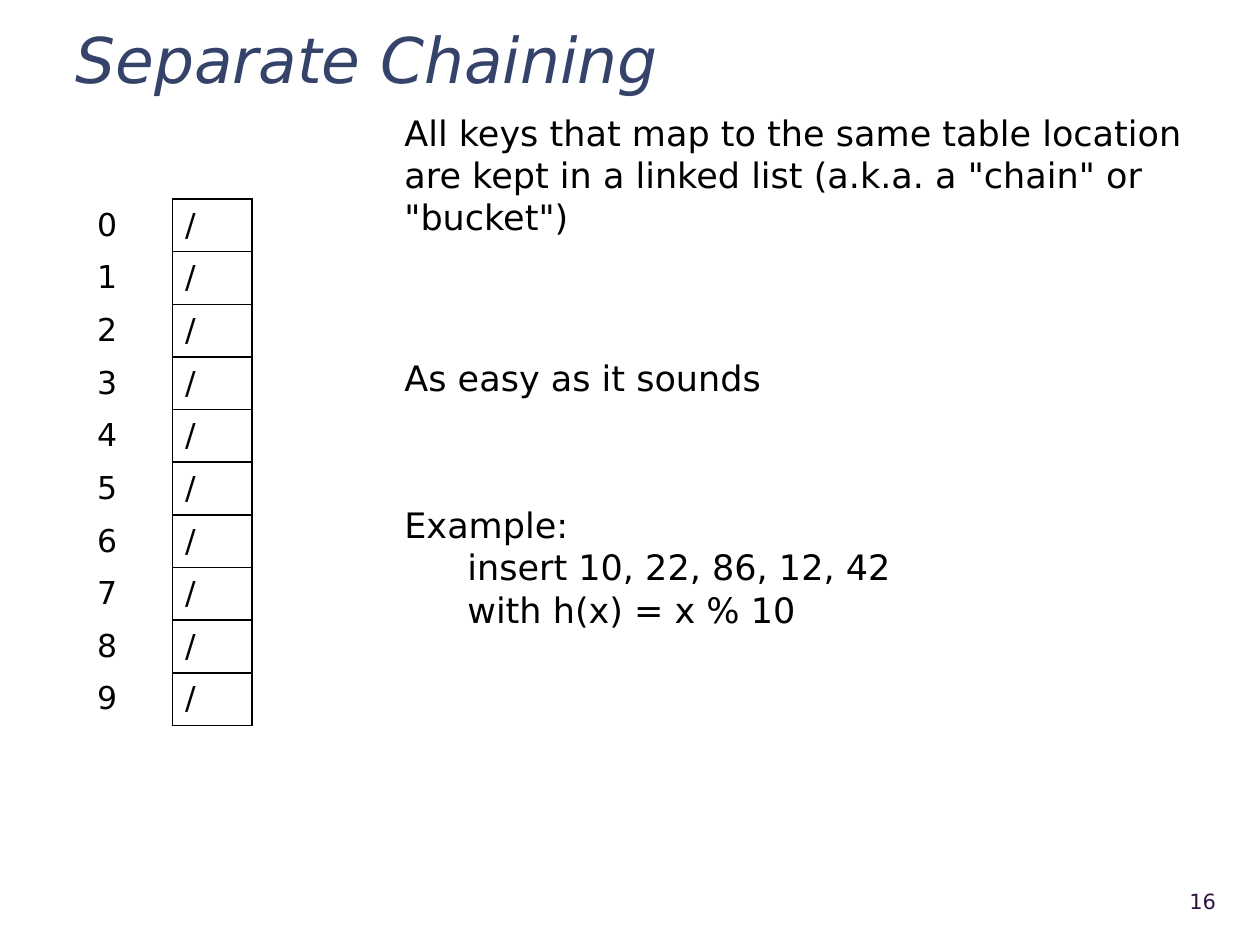
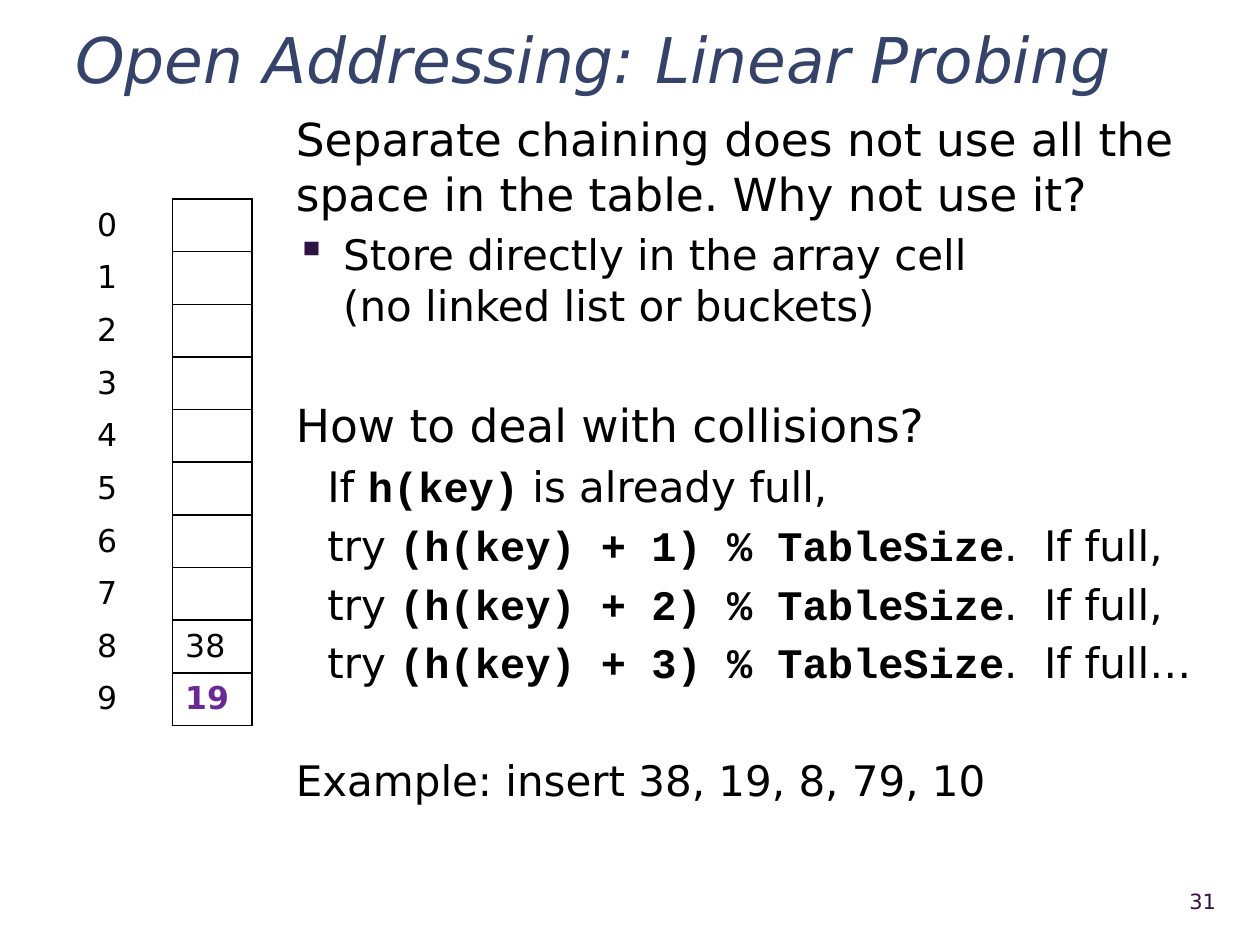
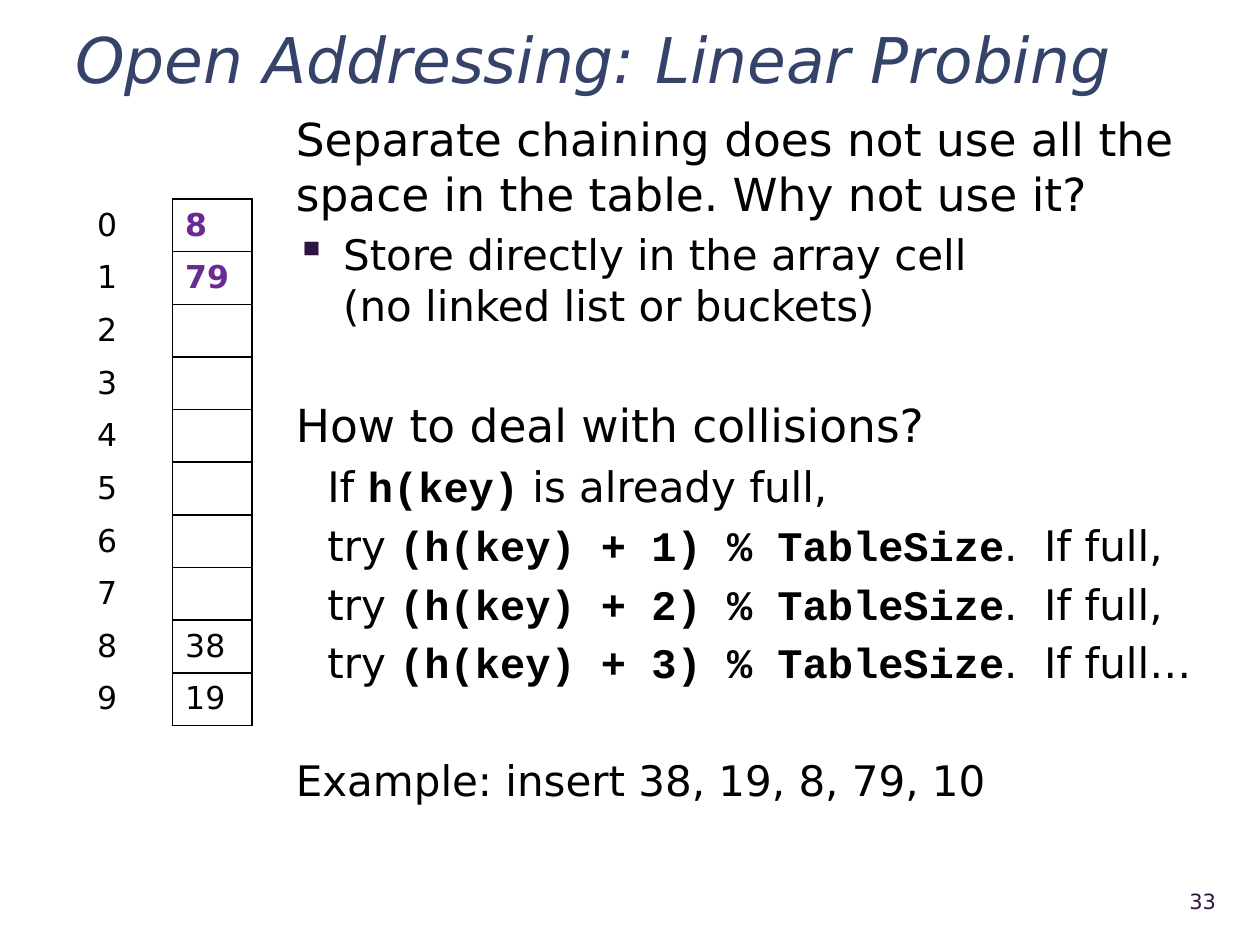
import pptx
import pptx.dml.color
import pptx.enum.text
import pptx.oxml
import pptx.oxml.ns
import pptx.util
from lxml import etree

Pt = pptx.util.Pt
ALIGN = pptx.enum.text.PP_ALIGN
ANCHOR = pptx.enum.text.MSO_ANCHOR

# Shared look
COLOURS = {"title": "35436A", "text": "000000", "number": "2F1343", "new": "692A96"}
SANS, CODE = "DejaVu Sans", "Courier New"
TITLE_AREA = (36, 12.24, 666, 38.16)
NUMBER_AREA = (640, 500.4, 62, 28.8)
TABLE_LEFT, TABLE_TOP = 48.24, 113.76
COLUMN_WIDTHS = (50.4, 45.36)
ROW_HEIGHT, ROW_COUNT = 30.1, 10
LINE_FACTOR = 1.2

# Content: paragraphs are dicts; text between backquotes is code
CHAINING_BODY = [
    {"text": 'All keys that map to the same table location are kept in a linked list '
             '(a.k.a. a "chain" or "bucket")', "size": 20},
    {"text": "As easy as it sounds", "size": 20, "before": 68.4},
    {"text": "Example:\n\tinsert 10, 22, 86, 12, 42\n\twith h(x) = x % 10",
     "size": 20, "before": 60, "tab": 72},
]
PROBES = [f"try `(h(key) + {step}) % TableSize`.  If full{end}"
          for step, end in ((1, ","), (2, ","), (3, "…"))]
PROBING_BODY = [
    {"text": "Separate chaining does not use all the space in the table. Why not use it?",
     "size": 26},
    {"text": "Store directly in the array cell\n(no linked list or buckets)",
     "size": 24, "before": 4.8, "bullet": "▪", "margin": 27},
    {"text": "How to deal with collisions?", "size": 26, "before": 38.8},
    *({"text": line, "size": 24, "before": 4.8, "margin": 18}
      for line in ["If `h(key)` is already full,"] + PROBES),
    {"text": "Example: insert 38, 19, 8, 79, 10", "size": 24, "before": 38.4},
]
CHAINING_AREA = (224, 60, 478, 432)
PROBING_AREA = (162, 60, 540, 432)
PROBING_TITLE = "Open Addressing: Linear Probing"

SLIDES = [
    {"title": "Separate Chaining", "number": 16, "area": CHAINING_AREA, "body": CHAINING_BODY,
     "cells": {row: "/" for row in range(ROW_COUNT)}, "new": ()},
    {"title": PROBING_TITLE, "number": 31, "area": PROBING_AREA, "body": PROBING_BODY,
     "cells": {8: "38", 9: "19"}, "new": (9,)},
    {"title": PROBING_TITLE, "number": 33, "area": PROBING_AREA, "body": PROBING_BODY,
     "cells": {0: "8", 1: "79", 8: "38", 9: "19"}, "new": (0, 1)},
]


def set_font(font, size, colour="text", bold=False, italic=False):
    font.name, font.size, font.bold, font.italic = SANS, Pt(size), bold, italic
    font.color.rgb = pptx.dml.color.RGBColor.from_string(COLOURS[colour])


def add_box(page, area, anchor):
    frame = page.shapes.add_textbox(*map(Pt, area)).text_frame
    frame.word_wrap = True
    frame.vertical_anchor = anchor
    return frame


def add_element(parent, tag, **attributes):
    return etree.SubElement(parent, pptx.oxml.ns.qn(tag), attributes)


def add_title(page, text):
    para = add_box(page, TITLE_AREA, ANCHOR.MIDDLE).paragraphs[0]
    para.text = text
    para.line_spacing = 1.1
    set_font(para.font, 36, "title", italic=True)


def add_number(page, number):
    para = add_box(page, NUMBER_AREA, ANCHOR.MIDDLE).paragraphs[0]
    para.text = str(number)
    para.alignment = ALIGN.RIGHT
    set_font(para.font, 12, "number")


def add_spans(para, text):
    for index, part in enumerate(text.split("`")):
        for line_index, line in enumerate(part.split("\n")):
            if line_index:
                para.add_line_break()
            span = para.add_run()
            span.text = line
            if index % 2:
                span.font.name, span.font.bold = CODE, True


def add_body(page, area, items):
    frame = add_box(page, area, ANCHOR.TOP)
    for index, item in enumerate(items):
        para = frame.add_paragraph() if index else frame.paragraphs[0]
        add_spans(para, item["text"])
        para.line_spacing = Pt(item["size"] * LINE_FACTOR)
        if "before" in item:
            para.space_before = Pt(item["before"])
        # Indents, bullets and tabs
        properties = para._p.get_or_add_pPr()
        margin = item.get("margin", 0)
        properties.set("marL", str(Pt(margin)))
        properties.set("indent", str(Pt(-margin if "bullet" in item else 0)))
        if "bullet" in item:
            colour = add_element(properties, "a:buClr")
            add_element(colour, "a:srgbClr", val=COLOURS["number"])
            add_element(properties, "a:buChar", char=item["bullet"])
        if "tab" in item:
            tabs = add_element(properties, "a:tabLst")
            add_element(tabs, "a:tab", pos=str(Pt(item["tab"])), algn="l")
        set_font(para.font, item["size"])


def add_borders(cell, sides):
    properties = cell._tc.get_or_add_tcPr()
    for side in sides:
        line = add_element(properties, f"a:ln{side}", w=str(Pt(1)))
        fill = add_element(line, "a:solidFill")
        add_element(fill, "a:srgbClr", val=COLOURS["text"])


def add_hash_table(page, values, new_rows):
    table = page.shapes.add_table(
        ROW_COUNT, 2, Pt(TABLE_LEFT), Pt(TABLE_TOP),
        Pt(sum(COLUMN_WIDTHS)), Pt(ROW_HEIGHT * ROW_COUNT)).table
    table.first_row = table.horz_banding = False
    for column, width in zip(table.columns, COLUMN_WIDTHS):
        column.width = Pt(width)
    for index, row in enumerate(table.rows):
        row.height = Pt(ROW_HEIGHT)
        texts = (str(index), values.get(index, ""))
        for cell, text, sides in zip(row.cells, texts, ("R", "LRTB")):
            add_borders(cell, sides)
            cell.fill.background()
            cell.vertical_anchor = ANCHOR.MIDDLE
            para = cell.text_frame.paragraphs[0]
            para.text = text
            is_new = sides != "R" and index in new_rows
            set_font(para.font, 18, "new" if is_new else "text", bold=is_new)


def main():
    deck = pptx.Presentation()
    deck.slide_width, deck.slide_height = Pt(720), Pt(540)
    for content in SLIDES:
        page = deck.slides.add_slide(deck.slide_layouts[6])
        add_title(page, content["title"])
        add_body(page, content["area"], content["body"])
        add_hash_table(page, content["cells"], content["new"])
        add_number(page, content["number"])
    deck.save("out.pptx")


if __name__ == "__main__":
    main()
